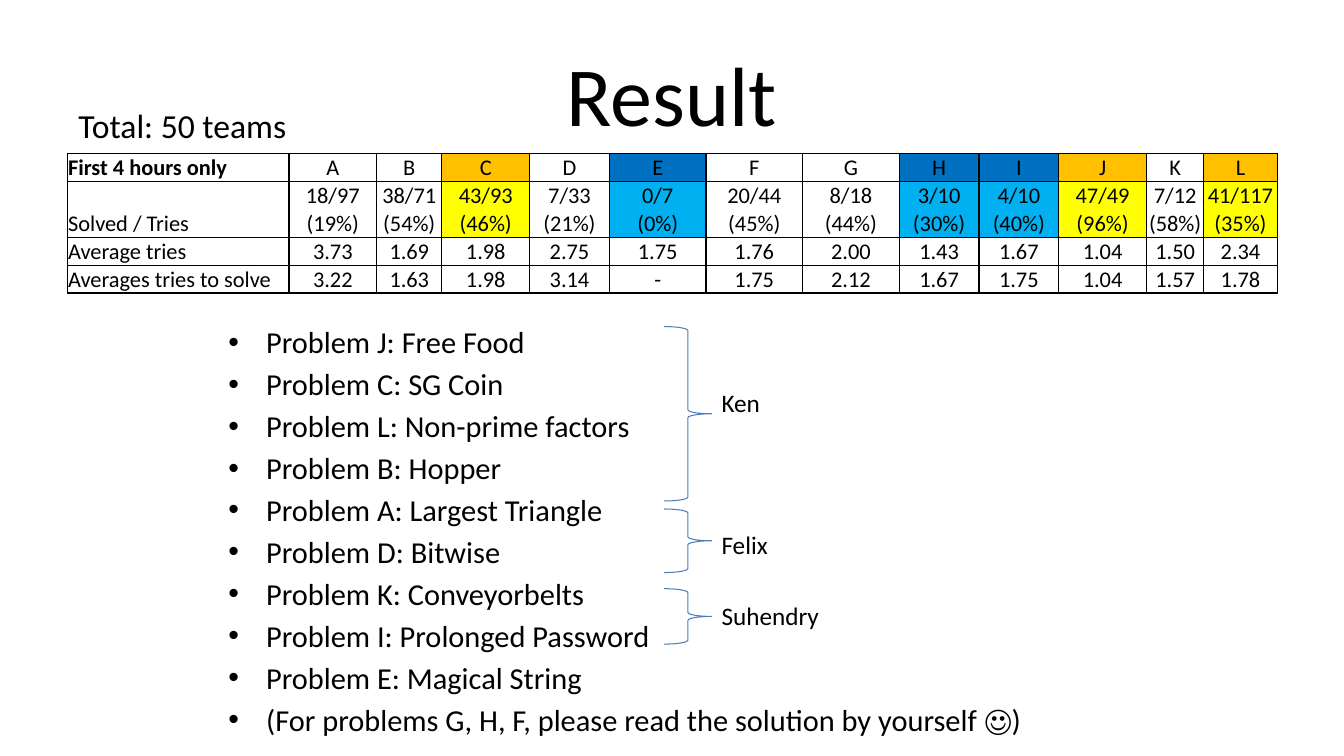
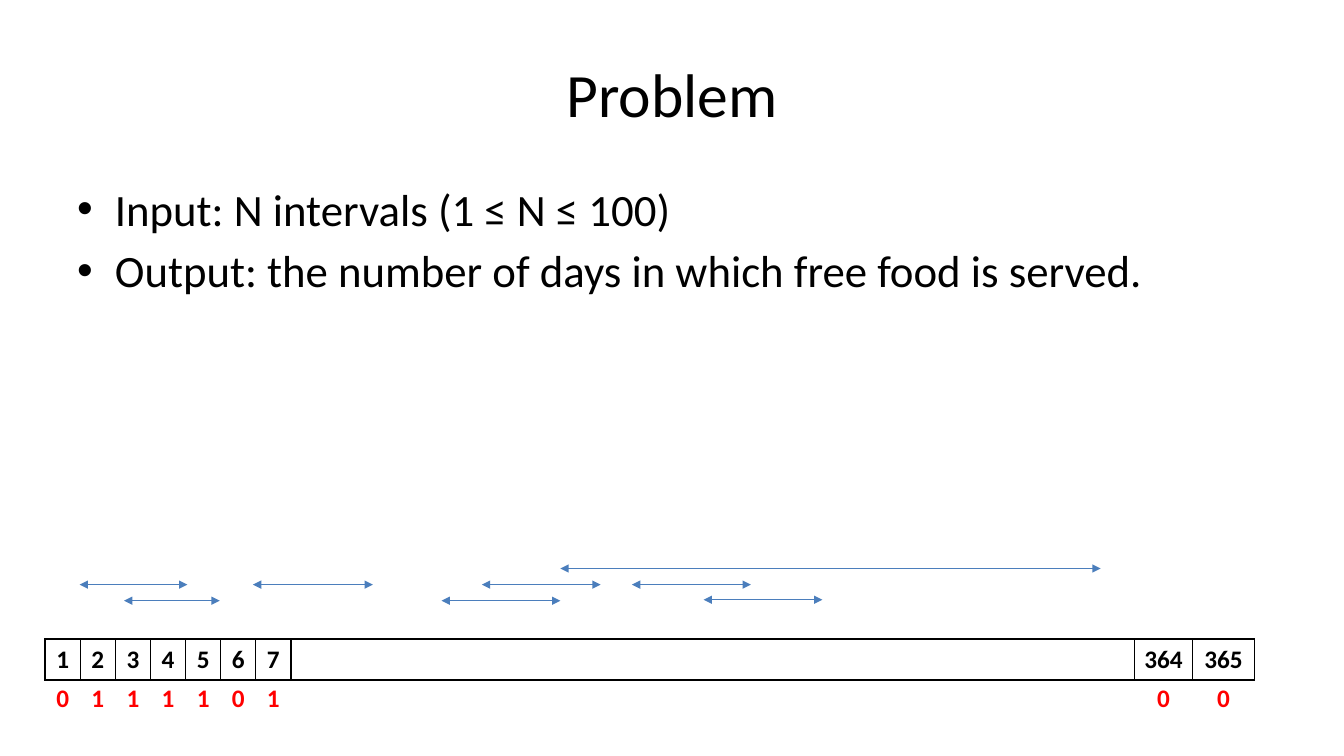
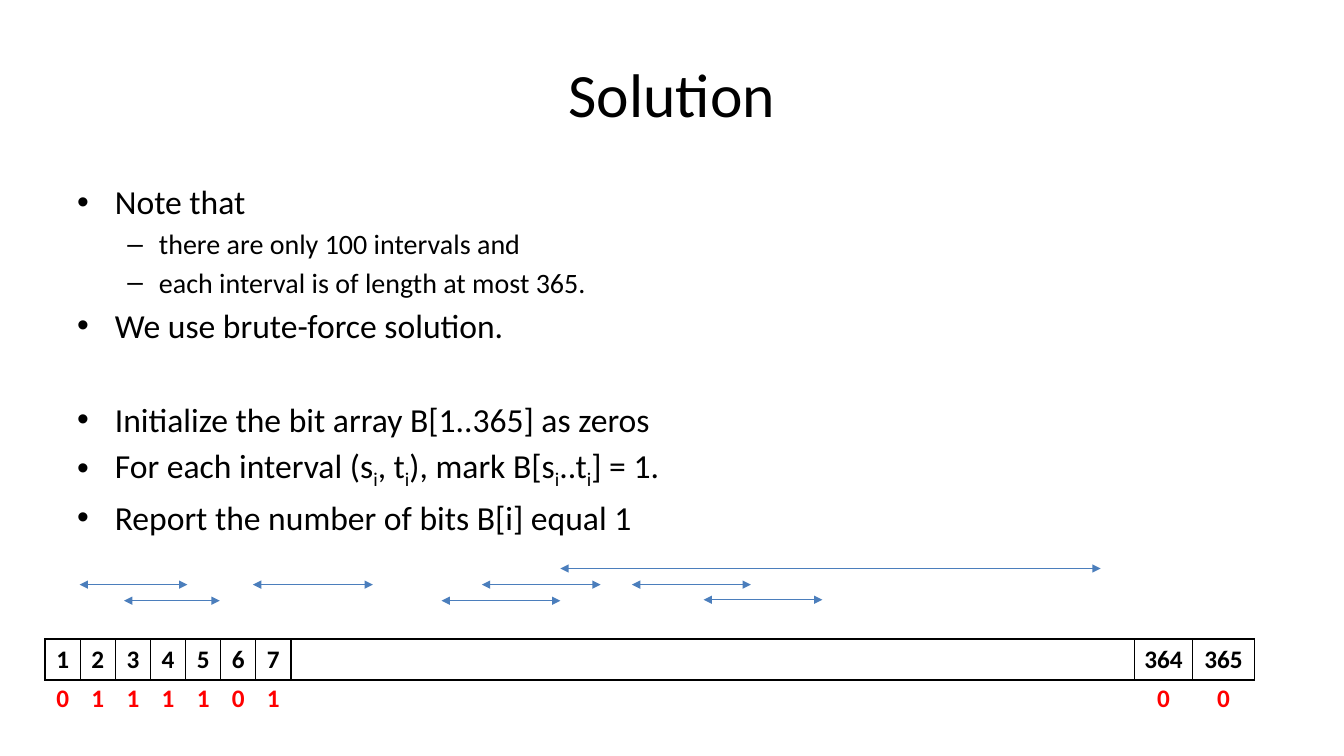
from dataclasses import dataclass
from typing import NamedTuple

from lxml.etree import SubElement as Sub
from pptx import Presentation
from pptx.dml.color import RGBColor as Rgb
from pptx.enum.shapes import MSO_CONNECTOR as Link, MSO_SHAPE as Form
from pptx.enum.text import MSO_ANCHOR as Anchor, PP_ALIGN as Align
from pptx.oxml.ns import qn
from pptx.slide import Slide
from pptx.table import _Cell as Cell
from pptx.text.text import TextFrame as Frame
from pptx.util import Pt


@dataclass(frozen=True)
class Theme:
    font: str = "Calibri"
    ink: str = "000000"
    blue: str = "4B7EBC"
    red: str = "FF0000"
    gold: str = "FFC000"
    yellow: str = "FFFF00"
    navy: str = "0070C0"
    sky: str = "00B0F0"
    hero: float = 60
    title: float = 44
    large: float = 32
    body: float = 24
    list: float = 21.7
    minor: float = 20
    label: float = 18
    grid: float = 16
    lead: float = 0.18
    line: float = 0.75


class Box(NamedTuple):
    left: float
    top: float
    width: float
    height: float


class Level(NamedTuple):
    mark: str
    margin: float
    hang: float


class Item(NamedTuple):
    text: str
    size: float
    level: int = 0
    extra: float = 0


class Brace(NamedTuple):
    name: str
    top: float
    height: float
    label: float


class Span(NamedTuple):
    start: float
    end: float
    y: float


class Column(NamedTuple):
    name: str
    width: float
    solved: str
    tries: str
    solve: str
    tone: str = ""


T = Theme()
LEVELS = (Level("•", 27, 27), Level("–", 58.5, 22.5))
TITLE = Box(48, 21.6, 864, 90)
BODY = Box(48, 126, 864, 356.4)
TONES = {"": ("", ""), "easy": (T.gold, T.yellow), "hard": (T.navy, T.sky)}

SCORES = (
    Column("A", 62.7, "18/97 (19%)", "3.73", "3.22"),
    Column("B", 46.6, "38/71 (54%)", "1.69", "1.63"),
    Column("C", 62.7, "43/93 (46%)", "1.98", "1.98", "easy"),
    Column("D", 57, "7/33 (21%)", "2.75", "3.14"),
    Column("E", 69, "0/7\v(0%)", "1.75", "-", "hard"),
    Column("F", 69, "20/44 (45%)", "1.76", "1.75"),
    Column("G", 69, "8/18 (44%)", "2.00", "2.12"),
    Column("H", 57, "3/10 (30%)", "1.43", "1.67", "hard"),
    Column("I", 57, "4/10 (40%)", "1.67", "1.75", "hard"),
    Column("J", 62.7, "47/49 (96%)", "1.04", "1.04", "easy"),
    Column("K", 41, "7/12 (58%)", "1.50", "1.57"),
    Column("L", 52.4, "41/117\n(35%)", "2.34", "1.78", "easy"),
)
HEADS = Column(
    "First 4 hours only", 158.4, "Solved / Tries", "Average tries",
    "Averages tries to solve",
)
TASKS = (
    "Problem J: Free Food",
    "Problem C: SG Coin",
    "Problem L: Non-prime factors",
    "Problem B: Hopper",
    "Problem A: Largest Triangle",
    "Problem D: Bitwise",
    "Problem K: Conveyorbelts",
    "Problem I: Prolonged Password",
    "Problem E: Magical String",
    "(For problems G, H, F, please read the solution by yourself ☺)",
)
BRACES = (
    Brace("Ken", 233.3, 124.6, 272.9),
    Brace("Felix", 363.6, 45.4, 374.4),
    Brace("Suhendry", 420.5, 39.6, 425.5),
)
SPANS = (
    Span(56.9, 133.9, 417.6),
    Span(88.6, 157, 429.1),
    Span(180.7, 266.4, 417.6),
    Span(315.4, 400.3, 429.1),
    Span(344.2, 429.1, 417.6),
    Span(502.6, 587.5, 428.4),
    Span(451.4, 536.4, 417.6),
    Span(400.3, 786.2, 406.1),
)
DAYS = ("1", "2", "3", "4", "5", "6", "7", "", "364", "365")
BITS = ("0", "1", "1", "1", "1", "0", "1", "", "0", "0")
DAY_COLS = (25.1,) * 7 + (602.3, 41.9, 44.1)
PROBLEM = (
    Item("Input: N intervals (1 ≤ N ≤ 100)", T.large),
    Item("Output: the number of days in which free food is served.", T.large),
)
SOLUTION = (
    Item("Note that", T.body),
    Item("there are only 100 intervals and", T.minor, 1),
    Item("each interval is of length at most 365.", T.minor, 1),
    Item("We use brute-force solution.", T.body),
    Item("Initialize the bit array B[1..365] as zeros", T.body, 0, 33.6),
    Item("For each interval (s_i_, t_i_), mark B[s_i_..t_i_] = 1.", T.body),
    Item("Report the number of bits B[i] equal 1", T.body),
)


def write(
    frame: Frame,
    text: str,
    *,
    size: float,
    color: str = T.ink,
    bold: bool = False,
    align: Align = Align.LEFT,
    level: Level | None = None,
    gap: float = 0,
) -> None:
    for line in text.split("\n"):
        para = frame.paragraphs[0]
        if frame.text:
            para = frame.add_paragraph()
            para.space_before = Pt(gap)
        para.alignment = align
        for row, chunk in enumerate(line.split("\v")):
            if row:
                para.add_line_break()
            for part, piece in enumerate(chunk.split("_")):
                run = para.add_run()
                run.text = piece
                font = run.font
                font.name, font.size, font.bold = T.font, Pt(size), bold
                font.color.rgb = Rgb.from_string(color)
                if part % 2:
                    run._r.get_or_add_rPr().set("baseline", "-25000")
        if level:
            props = para._p.get_or_add_pPr()
            props.set("marL", str(Pt(level.margin)))
            props.set("indent", str(-Pt(level.hang)))
            Sub(props, qn("a:buFont"), typeface="Arial")
            Sub(props, qn("a:buChar"), char=level.mark)


def add_frame(slide: Slide, box: Box, wrap: bool = True) -> Frame:
    frame = slide.shapes.add_textbox(*map(Pt, box)).text_frame
    frame.word_wrap = wrap
    return frame


def add_title(slide: Slide, text: str, size: float = T.title) -> None:
    frame = add_frame(slide, TITLE)
    frame.vertical_anchor = Anchor.MIDDLE
    write(frame, text, size=size, align=Align.CENTER)


def add_list(slide: Slide, box: Box, items: tuple[Item, ...]) -> None:
    frame = add_frame(slide, box)
    for item in items:
        write(
            frame, item.text, size=item.size, level=LEVELS[item.level],
            gap=round(item.size * T.lead + item.extra, 2),
        )


def dress(cell: Cell, fill: str = "", border: bool = True) -> None:
    props = cell._tc.get_or_add_tcPr()
    for side in "LRTB":
        edge = Sub(props, qn(f"a:ln{side}"), w=str(Pt(1)))
        if border:
            solid = Sub(edge, qn("a:solidFill"))
            Sub(solid, qn("a:srgbClr"), val=T.ink)
        else:
            Sub(edge, qn("a:noFill"))
    if fill:
        cell.fill.solid()
        cell.fill.fore_color.rgb = Rgb.from_string(fill)
    else:
        cell.fill.background()


def add_grid(
    slide: Slide, left: float, top: float,
    cols: tuple[float, ...], rows: tuple[float, ...],
):
    box = Box(left, top, sum(cols), sum(rows))
    grid = slide.shapes.add_table(len(rows), len(cols), *map(Pt, box)).table
    grid.first_row = grid.horz_banding = False
    for col, width in zip(grid.columns, cols):
        col.width = Pt(width)
    for row, height in zip(grid.rows, rows):
        row.height = Pt(height)
    return grid


def add_scores(slide: Slide) -> None:
    cols = (HEADS, *SCORES)
    widths = tuple(col.width for col in cols)
    grid = add_grid(slide, 48, 109.4, widths, (20, 40, 20, 20))
    for x, col in enumerate(cols):
        fills = (*TONES[col.tone], "", "")
        texts = (col.name, col.solved, col.tries, col.solve)
        for y, (text, fill) in enumerate(zip(texts, fills)):
            cell = grid.cell(y, x)
            cell.vertical_anchor = Anchor.BOTTOM
            cell.margin_left = cell.margin_right = cell.margin_top = Pt(0.7)
            cell.margin_bottom = Pt(0)
            dress(cell, fill)
            write(
                cell.text_frame, text, size=T.grid, bold=x == y == 0,
                align=Align.CENTER if x else Align.LEFT,
            )


def add_strip(
    slide: Slide, top: float, texts: tuple[str, ...],
    color: str, border: bool,
) -> None:
    grid = add_grid(slide, 32.2, top, DAY_COLS, (29.2,))
    for x, text in enumerate(texts):
        cell = grid.cell(0, x)
        cell.margin_left = cell.margin_right = Pt(6.5)
        dress(cell, border=border)
        if text:
            write(
                cell.text_frame, text, size=T.label, color=color,
                bold=True, align=Align.CENTER,
            )


def add_span(slide: Slide, span: Span) -> None:
    ends = (span.start, span.y, span.end, span.y)
    arrow = slide.shapes.add_connector(Link.STRAIGHT, *map(Pt, ends))
    arrow.line.color.rgb = Rgb.from_string(T.blue)
    arrow.line.width = Pt(T.line)
    props = arrow._element.spPr
    for end in ("headEnd", "tailEnd"):
        Sub(props.find(qn("a:ln")), qn(f"a:{end}"), type="triangle")
    Sub(props, qn("a:effectLst"))


def add_days(slide: Slide) -> None:
    add_strip(slide, 456.5, DAYS, T.ink, True)
    for span in SPANS:
        add_span(slide, span)
    add_strip(slide, 484.6, BITS, T.red, False)


def add_brace(slide: Slide, brace: Brace) -> None:
    box = Box(474.5, brace.top, 33.8, brace.height)
    shape = slide.shapes.add_shape(Form.RIGHT_BRACE, *map(Pt, box))
    shape.shadow.inherit = False
    shape.fill.background()
    shape.line.color.rgb = Rgb.from_string(T.blue)
    shape.line.width = Pt(T.line)
    frame = add_frame(slide, Box(508.3, brace.label, 85, 28.8), wrap=False)
    write(frame, brace.name, size=T.label)


def main() -> None:
    deck = Presentation()
    deck.slide_width, deck.slide_height = Pt(960), Pt(540)
    blank = deck.slide_layouts[6]

    slide = deck.slides.add_slide(blank)
    add_title(slide, "Result", T.hero)
    tasks = tuple(Item(task, T.list) for task in TASKS)
    add_list(slide, Box(156, 227.5, 648, 280), tasks)
    add_scores(slide)
    total = add_frame(slide, Box(49, 71.3, 164, 36), wrap=False)
    write(total, "Total: 50 teams", size=T.body)
    for brace in BRACES:
        add_brace(slide, brace)

    for title, items in (("Problem", PROBLEM), ("Solution", SOLUTION)):
        slide = deck.slides.add_slide(blank)
        add_title(slide, title)
        add_list(slide, BODY, items)
        add_days(slide)

    deck.save("out.pptx")


if __name__ == "__main__":
    main()
